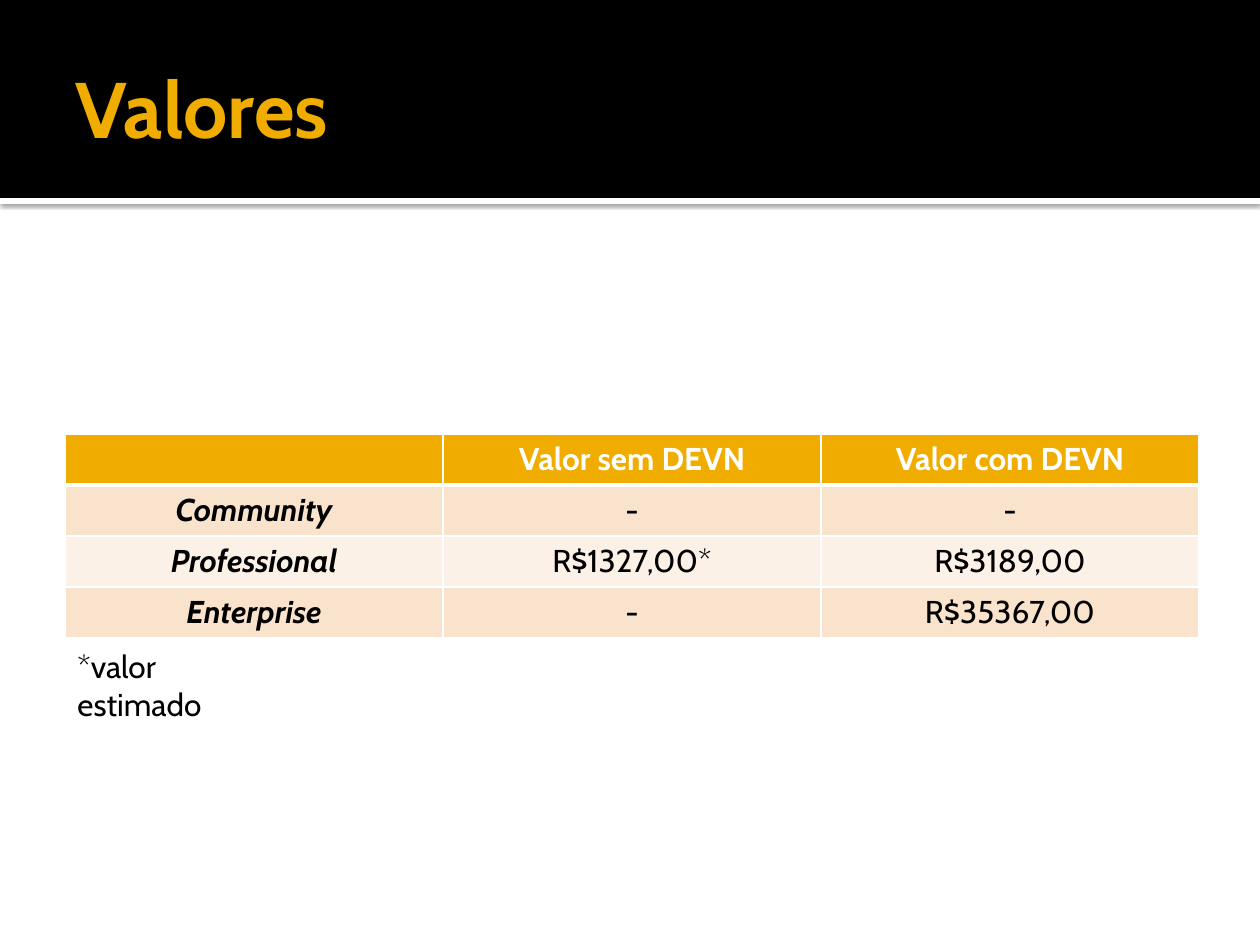
"""Build the "Valores" slide: a title band, a price table and a footnote."""
from lxml.etree import SubElement, fromstring
from pptx import Presentation
from pptx.dml.color import RGBColor
from pptx.enum.shapes import MSO_SHAPE
from pptx.enum.text import MSO_ANCHOR, PP_ALIGN
from pptx.oxml.ns import nsdecls, qn
from pptx.util import Emu, Pt

THEME = {
    "font": "Cabin", "title": 45, "body": 18,
    "gold": "F0AD00", "black": "000000", "white": "FFFFFF",
    "bands": ("FCF1E7", "F9E3CC"),
}
ROWS = [
    ("", "Valor sem DEVN", "Valor com DEVN"),
    ("Community", "-", "-"),
    ("Professional", "R$1327,00*", "R$3189,00"),
    ("Enterprise", "-", "R$35367,00"),
]


def px(*values):
    return [Emu(round(v * 914400 / 126)) for v in values]


def write(tf, text, size, color, align=PP_ALIGN.LEFT, **style):
    p = tf.paragraphs[0]
    p.alignment = align
    r = p.add_run()
    r.text = text
    r.font.color.rgb = RGBColor.from_string(color)
    for name, value in {"name": THEME["font"], "size": Pt(size), **style}.items():
        setattr(r.font, name, value)


prs = Presentation()
prs.slide_width, prs.slide_height = px(1260, 945)
s = prs.slides.add_slide(prs.slide_layouts[6])

for top, height, color in ((198, 6, "white"), (0, 198, "black")):
    sp = s.shapes.add_shape(MSO_SHAPE.RECTANGLE, *px(0, top, 1260, height))
    sp.shadow.inherit = False
    sp.fill.solid()
    sp.fill.fore_color.rgb = RGBColor.from_string(THEME[color])
    sp.line.fill.background()
    if color == "white":
        sp._element.spPr.find(qn("a:effectLst")).append(fromstring(
            f'<a:outerShdw {nsdecls("a")} blurRad="31750" dist="10160" dir="5400000" '
            f'algn="tl" rotWithShape="0"><a:srgbClr val="{THEME["black"]}">'
            '<a:alpha val="60000"/></a:srgbClr></a:outerShdw>'))

tf = s.shapes.add_textbox(*px(63, 21, 1134, 173)).text_frame
tf.word_wrap = True
tf.vertical_anchor = MSO_ANCHOR.MIDDLE
tf.margin_right, = px(6)
write(tf, "Valores", THEME["title"], THEME["gold"], bold=True)

table = s.shapes.add_table(len(ROWS), 3, *px(65, 434, 1134, 204)).table
for col in table.columns:
    col.width, = px(378)
for i, row in enumerate(ROWS):
    table.rows[i].height, = px(51)
    for j, text in enumerate(row):
        header, label = i == 0, j == 0
        cell = table.cell(i, j)
        cell.vertical_anchor = MSO_ANCHOR.MIDDLE
        widths = {"L": 1, "R": 1, "T": 3 if i == 1 else 1, "B": 3 if header else 1}
        for side, width in widths.items():
            ln = SubElement(cell._tc.get_or_add_tcPr(), qn(f"a:ln{side}"), w=str(Pt(width)))
            SubElement(SubElement(ln, qn("a:solidFill")), qn("a:srgbClr"), val=THEME["white"])
        cell.fill.solid()
        cell.fill.fore_color.rgb = RGBColor.from_string(
            THEME["gold"] if header else THEME["bands"][i % 2])
        if text:
            write(cell.text_frame, text, THEME["body"], THEME["white" if header else "black"],
                  PP_ALIGN.CENTER, bold=header or label, italic=label)

tf = s.shapes.add_textbox(*px(65, 641, 233, 51)).text_frame
tf.word_wrap = True
write(tf, "*valor estimado", THEME["body"], THEME["black"])

prs.save("out.pptx")
